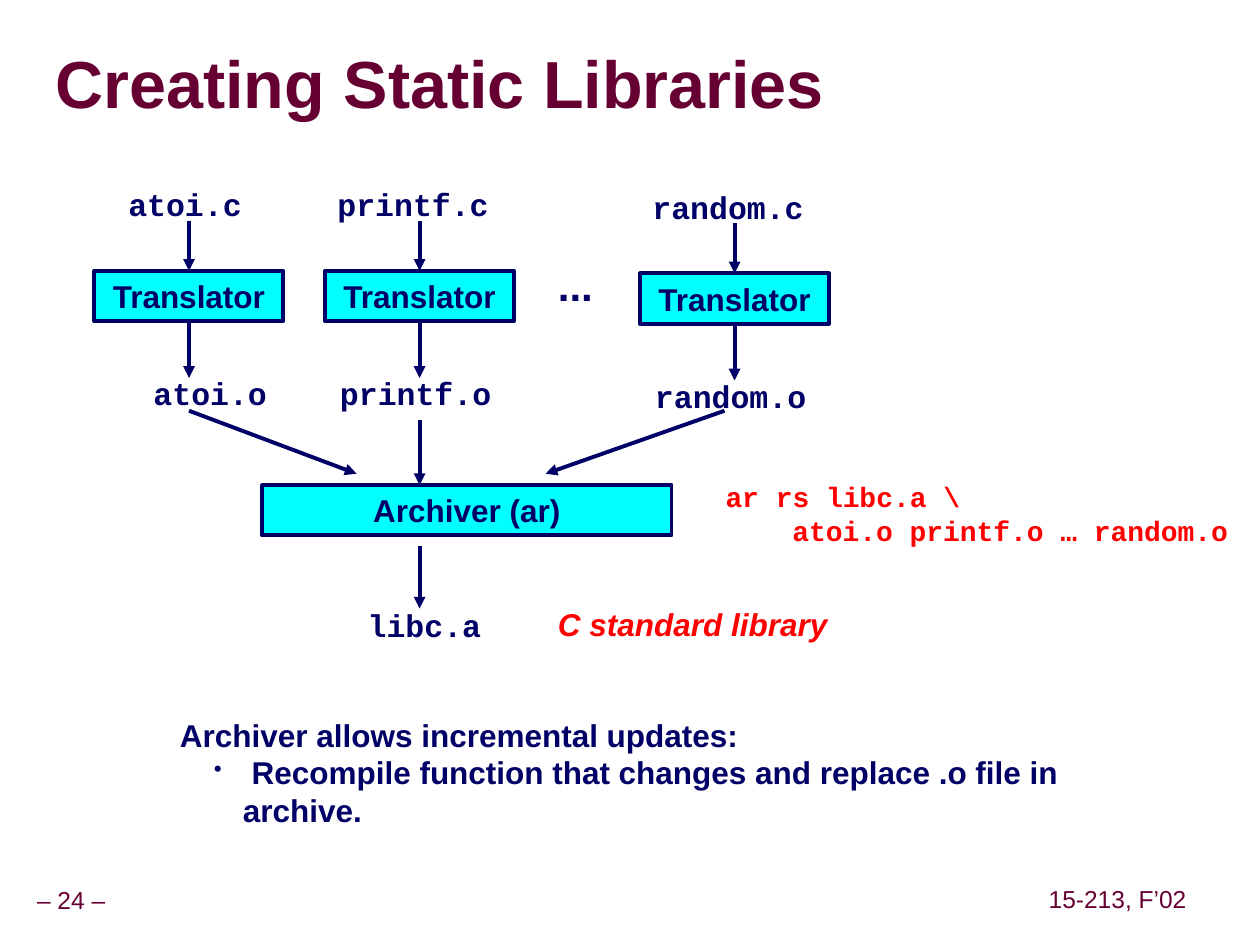
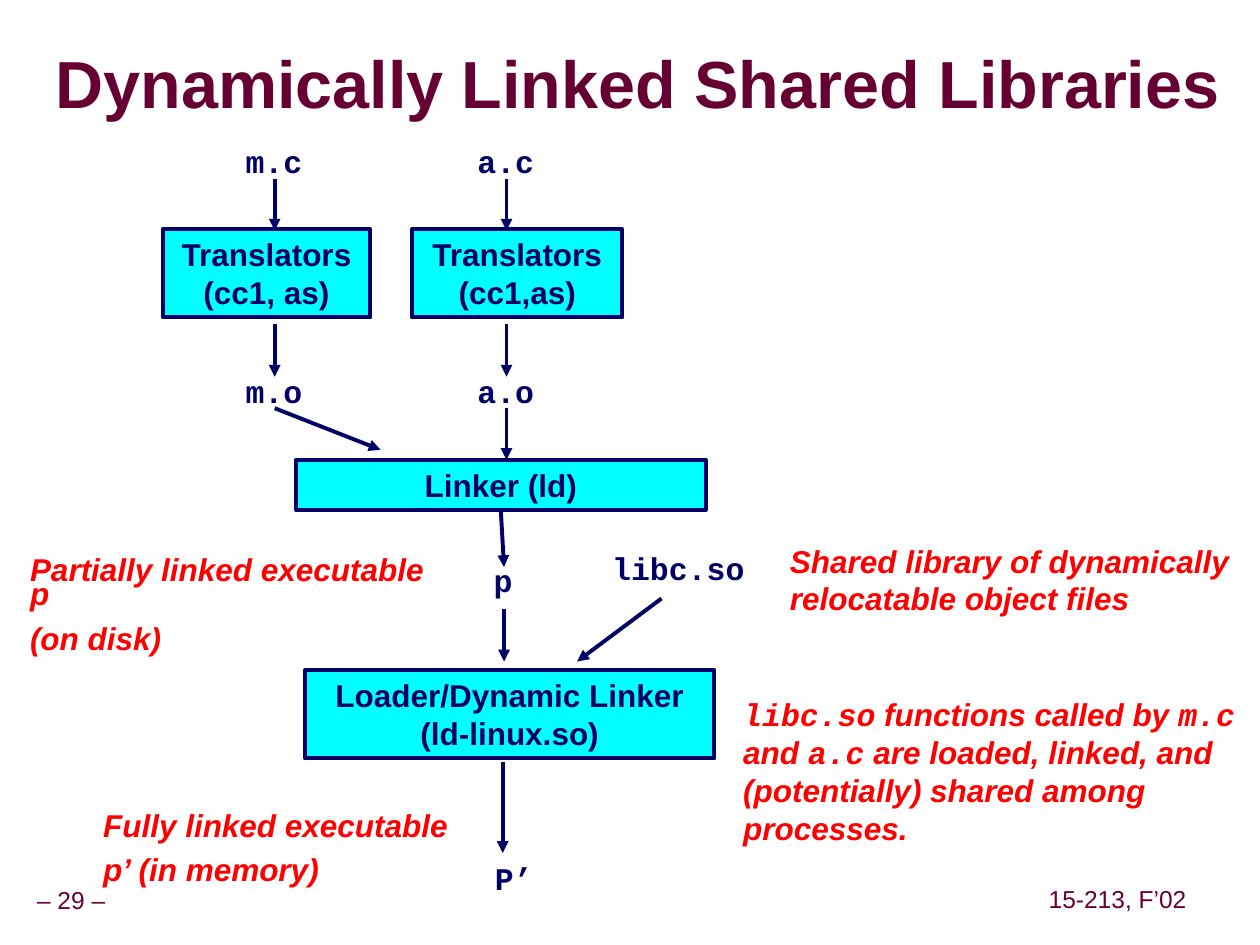
"""Build two slides on static and shared libraries."""
import pptx
import pptx.util
import pptx.dml.color
import pptx.enum.shapes
import pptx.enum.text
import pptx.oxml

Inches, Pt = pptx.util.Inches, pptx.util.Pt
RGB = pptx.dml.color.RGBColor.from_string
ALIGN, ANCHOR = pptx.enum.text.PP_ALIGN, pptx.enum.text.MSO_ANCHOR
AUTO = pptx.enum.text.MSO_AUTO_SIZE
NS = 'xmlns:a="http://schemas.openxmlformats.org/drawingml/2006/main"'
NAVY, CYAN, RED, MAROON = "000066", "00FFFF", "FF0000", "660033"
SANS, MONO = "Arial", "Courier New"
NOTE = dict(color=RED, italic=True, wrap=True)
FOOTER = dict(color=MAROON, size=14, bold=False, align=ALIGN.CENTER, inset=0.05, spacing=0.9)


def add_text(s, at, paras, kind="label", font=SANS, color=NAVY, size=18, bold=True,
             italic=False, wrap=False, align=ALIGN.LEFT, inset=0.1, spacing=None, before=None):
    """Write paragraphs, each a string or a list of (text, font) runs."""
    at = [Inches(v) for v in at]
    if kind == "box":
        sp = s.shapes.add_shape(pptx.enum.shapes.MSO_SHAPE.RECTANGLE, *at)
        sp.shadow.inherit = False
        sp.fill.solid()
        sp.fill.fore_color.rgb = RGB(CYAN)
        sp.line.color.rgb = RGB(NAVY)
        sp.line.width = Pt(2.25)
        align, wrap = ALIGN.CENTER, True
    elif kind == "title":
        sp = s.shapes.title
        sp.left, sp.top, sp.width, sp.height = at
    else:
        sp = s.shapes.add_textbox(*at)
    tf = sp.text_frame
    tf.auto_size = AUTO.SHAPE_TO_FIT_TEXT if kind == "label" else AUTO.NONE
    tf.word_wrap = wrap
    tf.vertical_anchor = ANCHOR.MIDDLE if color == MAROON else ANCHOR.TOP
    tf.margin_left = tf.margin_right = Inches(inset)
    tf.margin_top = tf.margin_bottom = Inches(min(inset, 0.05))
    for i, runs in enumerate(paras):
        p = tf.add_paragraph() if i else tf.paragraphs[0]
        p.alignment = align
        if spacing:
            p.line_spacing = spacing
        if before:
            p.space_before = Pt(before)
        for text, face in [(runs, font)] if isinstance(runs, str) else runs:
            r = p.add_run()
            r.text = text
            r.font.name, r.font.size = face, Pt(size)
            r.font.bold, r.font.italic = bold, italic
            r.font.color.rgb = RGB(color)
    return sp


def add_arrow(s, start, end, begin_box=None, end_box=None):
    """Draw an arrow, joined to a box's bottom at its start or top at its end."""
    c = s.shapes.add_connector(pptx.enum.shapes.MSO_CONNECTOR.STRAIGHT,
                               *[Inches(v) for v in (*start, *end)])
    if begin_box is not None:
        c.begin_connect(begin_box, 2)
    if end_box is not None:
        c.end_connect(end_box, 0)
    c.line.color.rgb = RGB(NAVY)
    c.line.width = Pt(2.25)
    c.line._get_or_add_ln().append(pptx.oxml.parse_xml(f'<a:tailEnd {NS} type="triangle"/>'))
    c._element.spPr.append(pptx.oxml.parse_xml(f"<a:effectLst {NS}/>"))


prs = pptx.Presentation()
prs.slide_width, prs.slide_height = Inches(10), Inches(7.5)

slides = []
for title, number in [("Creating Static Libraries", 24), ("Dynamically Linked Shared Libraries", 29)]:
    s = prs.slides.add_slide(prs.slide_layouts[5])
    sp = add_text(s, (0.44, 0.27, 9.53, 0.85), [title], "title", color=MAROON, size=38,
                  wrap=True, inset=0, spacing=0.87)
    rPr = sp.text_frame.paragraphs[0].runs[0].font._element
    rPr.find(pptx.oxml.ns.qn("a:solidFill")).addnext(pptx.oxml.parse_xml(
        f'<a:effectLst {NS}><a:outerShdw dist="38100" dir="2700000">'
        '<a:srgbClr val="969696"/></a:outerShdw></a:effectLst>'))
    add_text(s, (-0.09, 7, 1.31, 0.31), [f"– {number} –"], **FOOTER)
    add_text(s, (8.27, 6.99, 1.2, 0.31), ["15-213, F’02"], **FOOTER)
    slides.append(s)

s = slides[0]
for name, x, y, c_left, o_left, w in [("atoi", 1.5, 2.15, 0.92, 1.12, 1.1),
                                      ("printf", 3.33, 2.15, 2.58, 2.6, 1.4),
                                      ("random", 5.83, 2.17, 5.08, 5.1, 1.4)]:
    box = add_text(s, (x - 0.75, y, 1.5, 0.4), ["Translator"], "box")
    add_text(s, (c_left, y - 0.73, w, 0.4), [name + ".c"], font=MONO)
    add_text(s, (o_left, y + 0.77, w, 0.4), [name + ".o"], font=MONO)
    add_arrow(s, (x, y - 0.4), (x, y), end_box=box)
    add_arrow(s, (x, y + 0.4), (x, y + 0.85), begin_box=box)
add_text(s, (4.33, 2.01, 0.48, 0.5), ["..."], size=24)
add_text(s, (2.08, 3.85, 3.25, 0.4), ["Archiver (ar)"], "box")
for start, end in [((1.5, 3.26), (2.83, 3.76)), ((3.33, 3.33), (3.33, 3.85)),
                   ((5.75, 3.26), (4.33, 3.76)), ((3.33, 4.33), (3.33, 4.83))]:
    add_arrow(s, start, end)
add_text(s, (2.82, 4.76, 1.1, 0.4), ["libc.a"], font=MONO)
add_text(s, (4.33, 4.75, 3.25, 0.4), ["C standard library"], **NOTE)

sp = add_text(s, (5.66, 3.76, 4.19, 0.64), ["ar rs libc.a \\", "atoi.o printf.o … random.o"],
              font=MONO, color=RED, size=16)
sp.text_frame.paragraphs[1]._p.get_or_add_pPr().set("marL", str(Inches(0.53)))

sp = add_text(s, (1.33, 5.63, 7.83, 1),
              ["Archiver allows incremental updates:",
               " Recompile function that changes and replace .o file in archive."], wrap=True)
pPr = sp.text_frame.paragraphs[1]._p.get_or_add_pPr()
pPr.set("marL", str(Inches(0.5)))
pPr.set("indent", str(Inches(-0.23)))
for tag in (f'<a:buClr {NS}><a:srgbClr val="{NAVY}"/></a:buClr>',
            f'<a:buSzPct {NS} val="75000"/>', f'<a:buChar {NS} char="•"/>'):
    pPr.append(pptx.oxml.parse_xml(tag))

s = slides[1]
for name, x, left, w, tools in [("m", 2.18, 1.29, 1.65, "(cc1, as)"), ("a", 4.02, 3.27, 1.67, "(cc1,as)")]:
    add_arrow(s, (x, 1.42), (x, 1.83))
    add_text(s, (left, 1.82, w, 0.7), ["Translators", tools], "box")
    add_arrow(s, (x, 2.57), (x, 2.99))
    add_text(s, (x - 0.33, 1.08, 0.65, 0.4), [name + ".c"], font=MONO)
    add_text(s, (x - 0.33, 2.9, 0.65, 0.4), [name + ".o"], font=MONO)
linker = add_text(s, (2.35, 3.65, 3.25, 0.4), ["Linker (ld)"], "box")
add_text(s, (2.42, 5.32, 3.25, 0.7), ["Loader/Dynamic Linker", "(ld-linux.so)"], "box")
add_arrow(s, (3.98, 4.05), (4, 4.5), begin_box=linker)
for start, end in [((2.18, 3.24), (3.02, 3.57)), ((4.02, 3.24), (4.02, 3.65)),
                   ((4, 4.83), (4, 5.25)), ((5.25, 4.75), (4.58, 5.25)), ((3.99, 6.05), (3.99, 6.77))]:
    add_arrow(s, start, end)
for text, x, y, w in [("libc.so", 4.76, 4.31, 1.25), ("p", 3.82, 4.4, 0.35), ("P’", 3.83, 6.77, 0.5)]:
    add_text(s, (x, y, w, 0.4), [text], font=MONO)

add_text(s, (6.17, 4.25, 3.75, 0.7), ["Shared library of dynamically relocatable object files"], **NOTE)
add_text(s, (5.8, 5.47, 4.12, 1.3),
         [[("libc.so", MONO), (" functions called by ", SANS), ("m.c", MONO)],
          [("and ", SANS), ("a.c", MONO),
           (" are loaded, linked, and (potentially) shared among processes.", SANS)]], **NOTE)
for at, lines in [((0.14, 4.41, 3.54, 0.84), ["Partially linked executable p", "(on disk)"]),
                  ((0.72, 6.44, 3.15, 0.64), ["Fully linked executable", "p’ (in memory)"])]:
    add_text(s, at, lines, spacing=0.65, before=11.2, **NOTE)

prs.save("out.pptx")
